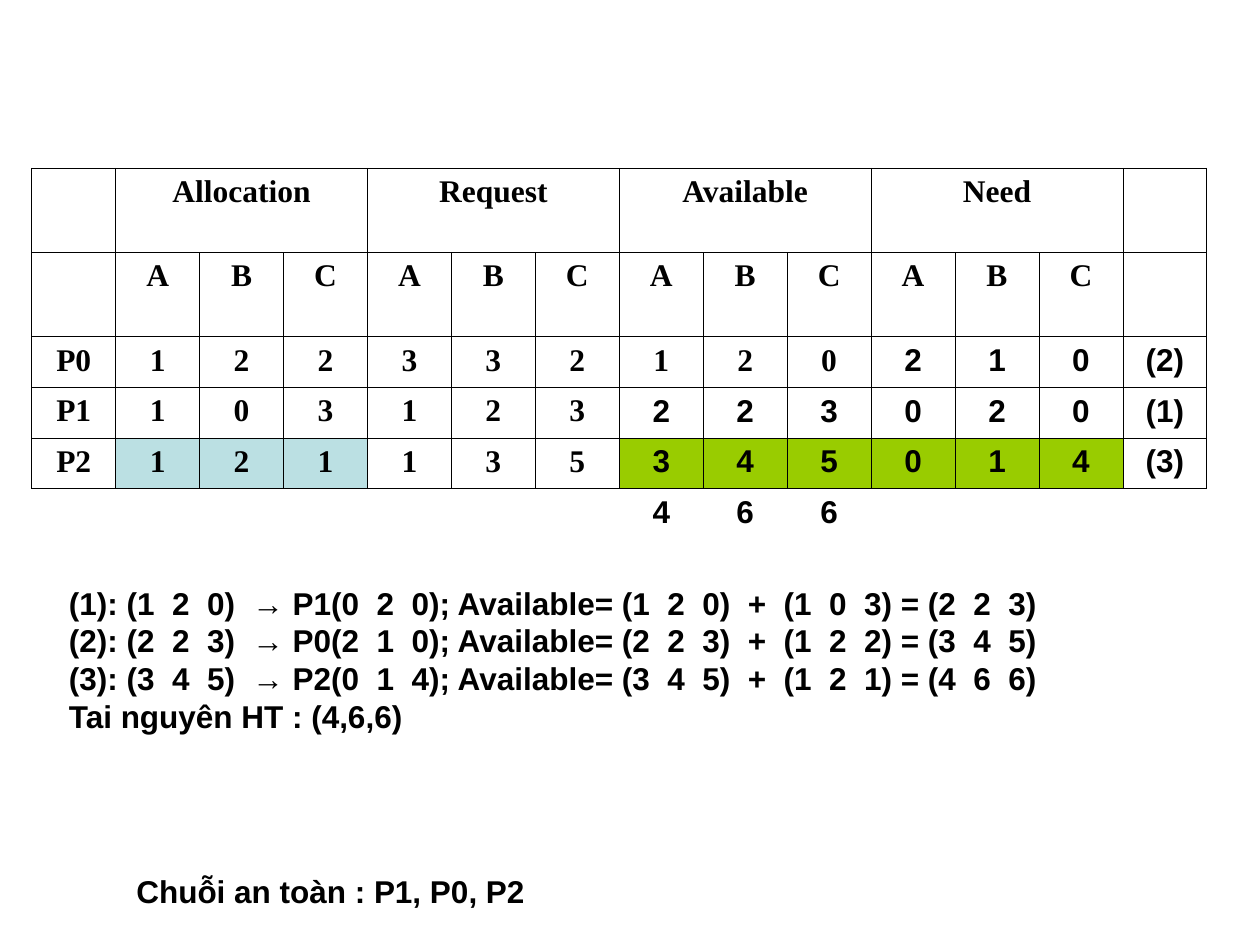
from lxml import etree
from pptx import Presentation, util as u
from pptx.dml.color import RGBColor
from pptx.enum import text
from pptx.oxml.ns import qn

BLACK = RGBColor(0x00, 0x00, 0x00)
BLUE = RGBColor(0xBB, 0xE0, 0xE3)
GREEN = RGBColor(0x99, 0xCC, 0x00)
SERIF, SANS = "Times New Roman", "Arial"

GROUPS = ["Allocation", "Request", "Available", "Need"]
ROWS = [
    [""] + ["A", "B", "C"] * 4 + [""],
    ["P0", *"122332120210", "(2)"],
    ["P1", *"103123223020", "(1)"],
    ["P2", *"121135345014", "(3)"],
    [""] * 7 + [*"466"] + [""] * 4,
]
HEIGHTS = [1.7, 1.7, 1.02, 1.02, 1.02, 1.02]
SERIF_COLUMNS = [14, 14, 10, 7, 7, 0]
FILLS = {(4, c): BLUE if c < 4 else GREEN for c in (1, 2, 3, *range(7, 13))}
STEPS = [
    "(1): (1  2  0)  → P1(0  2  0); Available= (1  2  0)  +  (1  0  3) = (2  2  3)",
    "(2): (2  2  3)  → P0(2  1  0); Available= (2  2  3)  +  (1  2  2) = (3  4  5)",
    "(3): (3  4  5)  → P2(0  1  4); Available= (3  4  5)  +  (1  2  1) = (4  6  6)",
    "Tai nguyên HT : (4,6,6)",
]


def format_runs(tf, font):
    """Make every run bold black 18 point in the given font."""
    for p in tf.paragraphs:
        for r in p.runs:
            r.font.name, r.font.size, r.font.bold = font, u.Pt(18), True
            r.font.color.rgb = BLACK


def set_borders(cell, visible):
    """Draw thin black lines on the visible sides and none on the others."""
    tcPr = cell._tc.get_or_add_tcPr()
    for side in "LRTB":
        ln = etree.SubElement(tcPr, qn(f"a:ln{side}"), w=str(u.Pt(0.45)))
        if side in visible:
            fill = etree.SubElement(ln, qn("a:solidFill"))
            etree.SubElement(fill, qn("a:srgbClr"), val=str(BLACK))
        else:
            etree.SubElement(ln, qn("a:noFill"))


def fill_cell(cell, label, font, color, sides):
    """Set the text, borders and background of one cell."""
    tf = cell.text_frame
    tf.text = label
    tf.paragraphs[0].alignment = text.PP_ALIGN.CENTER
    format_runs(tf, font)
    set_borders(cell, sides)
    if color is None:
        cell.fill.background()
    else:
        cell.fill.solid()
        cell.fill.fore_color.rgb = color


def add_allocation_table(s):
    """Add the resource table with its merged group headings."""
    header = [""] * 14
    header[1:13:3] = GROUPS
    rows = [header] + ROWS
    frame = s.shapes.add_table(len(rows), 14, u.Cm(0.64), u.Cm(3.39),
                               u.Cm(23.7), u.Cm(sum(HEIGHTS)))
    table = frame.table
    table.first_row = table.horz_banding = False
    for column in table.columns:
        column.width = u.Cm(23.7 / 14)
    for i, labels in enumerate(rows):
        table.rows[i].height = u.Cm(HEIGHTS[i])
        sides = "T" if i == len(rows) - 1 else "LRTB"
        for j, label in enumerate(labels):
            font = SERIF if j < SERIF_COLUMNS[i] else SANS
            fill_cell(table.cell(i, j), label, font, FILLS.get((i, j)), sides)
    for j in range(1, 13, 3):
        table.cell(0, j).merge(table.cell(0, j + 2))


def add_text(s, lines, left, top, width, height):
    """Add an unwrapped text box with one paragraph per line."""
    tf = s.shapes.add_textbox(*map(u.Cm, (left, top, width, height))).text_frame
    tf.word_wrap = False
    tf.auto_size = text.MSO_AUTO_SIZE.SHAPE_TO_FIT_TEXT
    tf.text = "\n".join(lines)
    format_runs(tf, SANS)


def main():
    """Build the slide and save it."""
    prs = Presentation()
    prs.slide_width, prs.slide_height = u.Cm(25.4), u.Cm(19.05)
    s = prs.slides.add_slide(prs.slide_layouts[6])
    add_allocation_table(s)
    add_text(s, ["Chuỗi an toàn : P1, P0, P2"], 2.5, 17.45, 8.5, 1.02)
    add_text(s, STEPS, 1.14, 11.64, 20.07, 3.3)
    prs.save("out.pptx")


if __name__ == "__main__":
    main()
